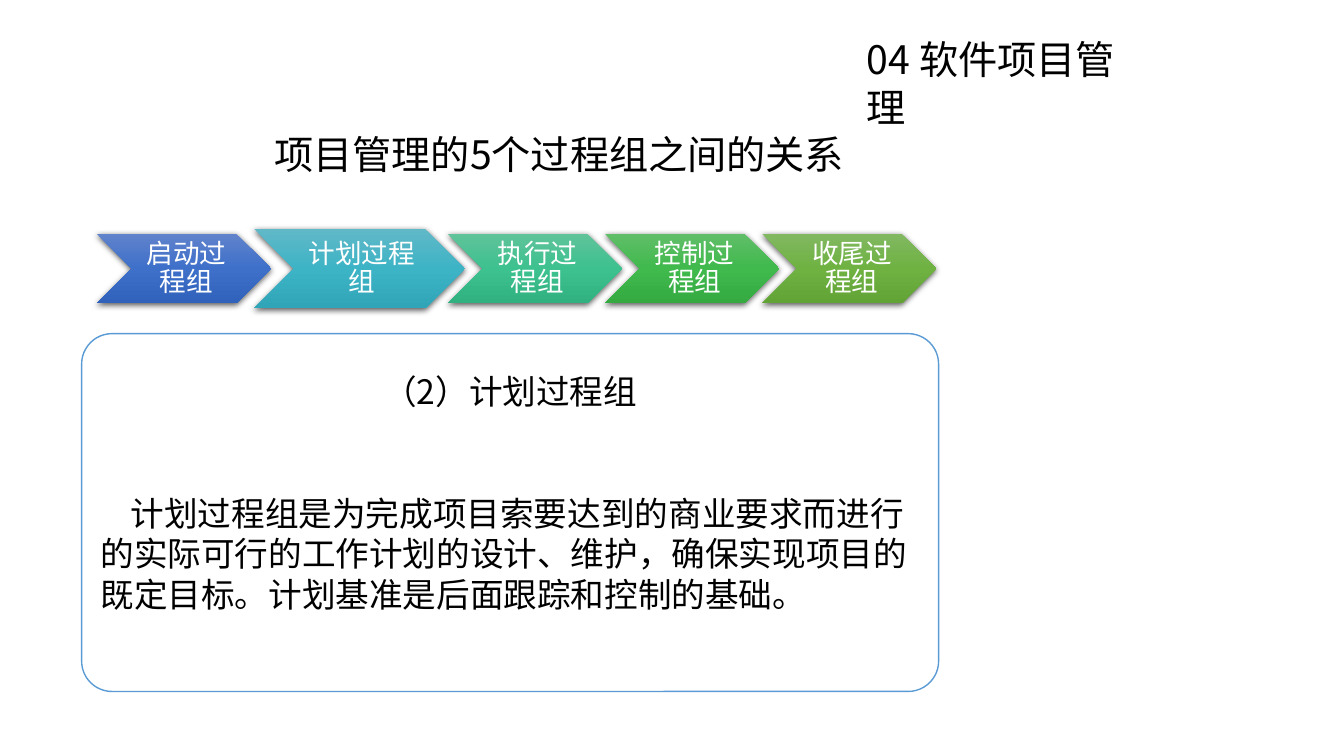
"""Slide on the five process groups of project management."""
import dataclasses

import lxml.etree
import pptx
import pptx.dml.color
import pptx.enum.shapes
import pptx.enum.text
import pptx.oxml.ns
import pptx.util

EMU_PER_PX = 9144
ALIGN = pptx.enum.text.PP_ALIGN
ANCHOR = pptx.enum.text.MSO_ANCHOR
SHAPE = pptx.enum.shapes.MSO_SHAPE
qn = pptx.oxml.ns.qn


@dataclasses.dataclass(frozen=True)
class Theme:
    """Colours, font and type sizes of the slide."""
    font: str = "Noto Sans CJK SC"
    ink: str = "000000"
    paper: str = "FFFFFF"
    border: str = "5B9BD5"
    heading_size: int = 28
    heading_leading: int = 34
    step_size: int = 19
    step_leading: int = 20
    body_size: int = 24
    body_leading: int = 29


THEME = Theme()
STEPS = [
    ("启动过程组", ("6183CB", "3E70CA", "3062BB")),
    ("计划过程组", ("61B8C7", "3DB4C6", "30A5B7")),
    ("执行过程组", ("60C39A", "3DC18F", "31B080")),
    ("控制过程组", ("60BE68", "40B94D", "34AA41")),
    ("收尾过程组", ("81B861", "6FB242", "62A336")),
]
ACTIVE_STEP = "计划过程组"
DESCRIPTION = (
    "计划过程组是为完成项目索要达到的商业要求而进行的实际可行的工作计划的设计、"
    "维护，确保实现项目的既定目标。计划基准是后面跟踪和控制的基础。"
)


def px(length):
    """Turn a length in px into EMU."""
    return pptx.util.Emu(round(length * EMU_PER_PX))


def rgb(code):
    """Turn a hex code into a colour."""
    return pptx.dml.color.RGBColor.from_string(code)


def apply_format(target, values):
    """Set each attribute named in values on the target."""
    for name, value in values.items():
        setattr(target, name, value)


def write(paragraph, text, size, leading, colour, align):
    """Put one formatted run of text into a paragraph."""
    apply_format(paragraph, {
        "alignment": align,
        "line_spacing": pptx.util.Pt(leading),
        "space_before": pptx.util.Pt(0),
    })
    run = paragraph.add_run()
    run.text = text
    apply_format(run.font, {"name": THEME.font, "size": pptx.util.Pt(size)})
    run.font.color.rgb = rgb(colour)
    east_asian = lxml.etree.SubElement(run._r.get_or_add_rPr(), qn("a:ea"))
    east_asian.set("typeface", THEME.font)


def write_heading(heading, text, box):
    """Place a heading in the box and write its text."""
    left, top, width, height = box
    apply_format(heading, {"left": px(left), "top": px(top),
                           "width": px(width), "height": px(height)})
    apply_format(heading.text_frame, {
        "word_wrap": True,
        "vertical_anchor": ANCHOR.TOP,
        "auto_size": pptx.enum.text.MSO_AUTO_SIZE.NONE,
    })
    write(heading.text_frame.paragraphs[0], text, THEME.heading_size,
          THEME.heading_leading, THEME.ink, ALIGN.LEFT)


def fill_gradient(step, colours):
    """Fill a step from top to bottom with evenly spaced colours."""
    step.fill.gradient()
    step.fill.gradient_angle = 270
    stop_list = step._element.spPr.find(".//" + qn("a:gsLst"))
    for stop in list(stop_list):
        stop_list.remove(stop)
    for index, colour in enumerate(colours):
        stop = lxml.etree.SubElement(stop_list, qn("a:gs"))
        stop.set("pos", str(index * 100000 // (len(colours) - 1)))
        lxml.etree.SubElement(stop, qn("a:srgbClr")).set("val", colour)


def drop_shadow(step):
    """Give a step a soft shadow below it."""
    step.shadow.inherit = False
    effects = step._element.spPr.find(qn("a:effectLst"))
    shadow = lxml.etree.SubElement(effects, qn("a:outerShdw"))
    for name, value in {"blurRad": pptx.util.Pt(4.5), "dist": pptx.util.Pt(1.5),
                        "dir": 5400000, "algn": "ctr", "rotWithShape": 0}.items():
        shadow.set(name, str(int(value)) if name != "algn" else value)
    colour = lxml.etree.SubElement(shadow, qn("a:srgbClr"))
    colour.set("val", THEME.ink)
    lxml.etree.SubElement(colour, qn("a:alpha")).set("val", "63000")


def draw_process(slide, box):
    """Draw the row of overlapping steps, the active one larger."""
    left, top, width, height = box
    overlap, active_extra, active_height = 17, 36, height
    step_width = (width - active_extra + overlap * (len(STEPS) - 1)) // len(STEPS)
    for label, colours in STEPS:
        active = label == ACTIVE_STEP
        own_width = step_width + active_extra * active
        own_height = active_height if active else height - 10
        step = slide.shapes.add_shape(
            SHAPE.CHEVRON, px(left), px(top + (height - own_height) / 2),
            px(own_width), px(own_height))
        fill_gradient(step, colours)
        step.line.fill.background()
        drop_shadow(step)
        apply_format(step.text_frame, {
            "word_wrap": True, "vertical_anchor": ANCHOR.MIDDLE,
            "margin_left": px(8), "margin_top": px(3),
            "margin_right": px(3), "margin_bottom": px(3),
        })
        write(step.text_frame.paragraphs[0], label, THEME.step_size,
              THEME.step_leading, THEME.paper, ALIGN.CENTER)
        left += own_width - overlap


def draw_description(slide, box):
    """Draw the rounded panel that explains the active step."""
    panel = slide.shapes.add_shape(SHAPE.ROUNDED_RECTANGLE, *map(px, box))
    panel.adjustments[0] = 0.085
    panel.shadow.inherit = False
    panel.fill.solid()
    panel.fill.fore_color.rgb = rgb(THEME.paper)
    panel.line.color.rgb = rgb(THEME.border)
    panel.line.width = pptx.util.Pt(1)
    frame = panel.text_frame
    apply_format(frame, {
        "word_wrap": True, "vertical_anchor": ANCHOR.MIDDLE,
        "margin_left": px(10), "margin_right": px(10),
        "margin_top": px(5), "margin_bottom": px(45),
    })
    caption = frame.paragraphs[0]
    write(caption, f"（2）{ACTIVE_STEP}", THEME.body_size,
          THEME.body_leading, THEME.ink, ALIGN.CENTER)
    caption.space_after = pptx.util.Pt(2 * THEME.body_leading)
    explanation = frame.add_paragraph()
    explanation._p.get_or_add_pPr().set("indent", str(px(30)))
    write(explanation, DESCRIPTION, THEME.body_size,
          THEME.body_leading, THEME.ink, ALIGN.LEFT)


def main():
    """Build the slide and save it."""
    deck = pptx.Presentation()
    apply_format(deck, {"slide_width": px(1333), "slide_height": px(750)})
    slide = deck.slides.add_slide(deck.slide_layouts.get_by_name("Title Only"))
    chapter_box = (850, 30, 302, 57)
    chapter = slide.shapes.add_textbox(*map(px, chapter_box))
    write_heading(chapter, "04 软件项目管理", chapter_box)
    write_heading(slide.shapes.title, "项目管理的5个过程组之间的关系",
                  (262, 124, 590, 57))
    draw_process(slide, (96, 227, 835, 79))
    draw_description(slide, (81, 331, 850, 355))
    deck.save("out.pptx")


if __name__ == "__main__":
    main()
